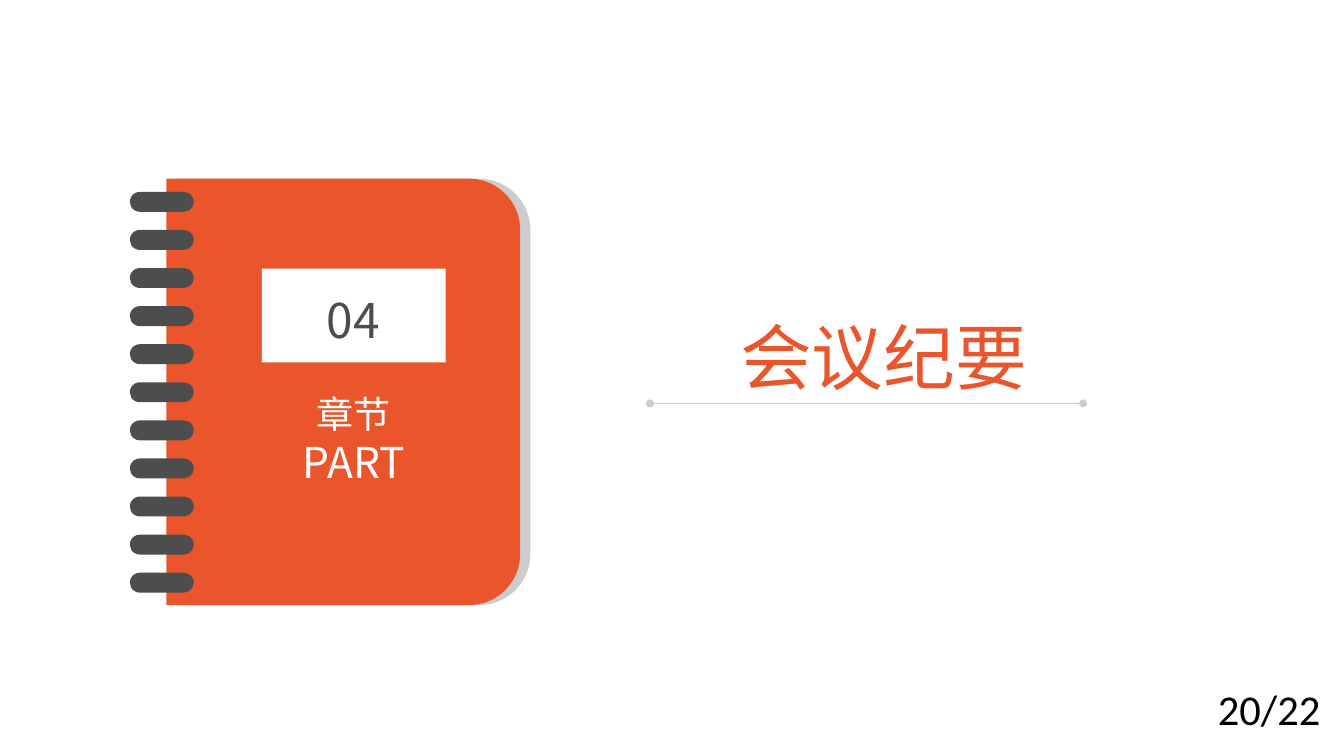
from lxml.etree import SubElement
from pptx import Presentation
from pptx.dml.color import RGBColor
from pptx.enum.shapes import MSO_CONNECTOR, MSO_SHAPE
from pptx.enum.text import MSO_ANCHOR, PP_ALIGN
from pptx.oxml.ns import qn
from pptx.util import Cm, Pt

# Content
CHINESE_FONT = "Noto Sans CJK SC"
ORANGE, GRAY, DARK, WHITE, BLACK = "EA552B", "CCCCCC", "4D4D4D", "FFFFFF", "000000"
TITLE = [("会议纪要", 54)]
PART_NUMBER = [("04", 36)]
PART_LABEL = [("章节", 28), ("PART", 32)]
PAGE_NUMBER = [("20/22", 32)]

# Notebook geometry in centimetres: left, top, width, height
COVER = (4.42, 4.75, 9.4, 11.33)
BACK_COVER_OFFSET = 0.27
CORNER_RADIUS = 1.36
NUMBER_PLATE = (6.96, 7.14, 4.88, 2.49)
RING_COUNT = 11
RING_LEFT, RING_WIDTH, RING_HEIGHT = 3.45, 1.7, 0.53
FIRST_RING_TOP, LAST_RING_TOP = 5.1, 15.22


def color(hex_code):
    return RGBColor.from_string(hex_code)


def add_block(slide, kind, left, top, width, height, fill):
    block = slide.shapes.add_shape(kind, Cm(left), Cm(top), Cm(width), Cm(height))
    block.shadow.inherit = False
    block.fill.solid()
    block.fill.fore_color.rgb = color(fill)
    block.line.fill.background()
    return block


def add_cover(slide, left, top, width, height, fill):
    # Rounded top corners, turned a quarter so that they face right
    shift = (width - height) / 2
    cover = add_block(slide, MSO_SHAPE.ROUND_2_SAME_RECTANGLE,
                      left + shift, top - shift, height, width, fill)
    cover.adjustments[0] = CORNER_RADIUS / min(width, height)
    cover.rotation = 90


def add_text(slide, lines, left, top, width, height, *, fill, font=CHINESE_FONT,
             align=PP_ALIGN.CENTER, anchor=MSO_ANCHOR.MIDDLE, margins=(0, 0)):
    box = slide.shapes.add_textbox(Cm(left), Cm(top), Cm(width), Cm(height))
    frame = box.text_frame
    frame.word_wrap = True
    frame.vertical_anchor = anchor
    frame.margin_left = frame.margin_right = Cm(margins[0])
    frame.margin_top = frame.margin_bottom = Cm(margins[1])
    for index, (text, size) in enumerate(lines):
        para = frame.add_paragraph() if index else frame.paragraphs[0]
        para.alignment = align
        span = para.add_run()
        span.text = text
        span.font.size = Pt(size)
        span.font.name = font
        span.font.color.rgb = color(fill)
        SubElement(span.font._element, qn("a:ea")).set("typeface", font)


def add_dotted_end_line(slide, left, right, height, fill):
    line = slide.shapes.add_connector(
        MSO_CONNECTOR.STRAIGHT, Cm(left), Cm(height), Cm(right), Cm(height))
    line.line.color.rgb = color(fill)
    line.line.width = Pt(1)
    outline = line.line._get_or_add_ln()
    for end in ("a:headEnd", "a:tailEnd"):
        SubElement(outline, qn(end)).set("type", "oval")
    SubElement(line._element.spPr, qn("a:effectLst"))


def main():
    deck = Presentation()
    deck.slide_width, deck.slide_height = Cm(35.71), Cm(20.09)
    page = deck.slides.add_slide(deck.slide_layouts[6])

    # Title and underline
    add_dotted_end_line(page, 17.27, 28.78, 10.72, GRAY)
    add_text(page, TITLE, 17.27, 8.31, 12.42, 2.31, fill=ORANGE)

    # Notebook covers and number plate
    left, top, width, height = COVER
    add_cover(page, left + BACK_COVER_OFFSET, top, width, height, GRAY)
    add_cover(page, left, top, width, height, ORANGE)
    add_block(page, MSO_SHAPE.RECTANGLE, *NUMBER_PLATE, WHITE)

    # Binding rings
    pitch = (LAST_RING_TOP - FIRST_RING_TOP) / (RING_COUNT - 1)
    for index in range(RING_COUNT):
        ring = add_block(page, MSO_SHAPE.ROUNDED_RECTANGLE, RING_LEFT,
                         FIRST_RING_TOP + index * pitch, RING_WIDTH, RING_HEIGHT, DARK)
        ring.adjustments[0] = 0.5

    # Notebook text
    add_text(page, PART_NUMBER, 7.09, 7.72, 4.6, 1.55, fill=DARK)
    add_text(page, PART_LABEL, 7.47, 10.26, 3.86, 2.84, fill=WHITE)

    # Page number
    add_text(page, PAGE_NUMBER, 32.11, 18.03, 3.6, 1.55, fill=BLACK, font="Calibri",
             align=PP_ALIGN.LEFT, anchor=MSO_ANCHOR.TOP, margins=(0.25, 0.13))

    deck.save("out.pptx")


if __name__ == "__main__":
    main()
